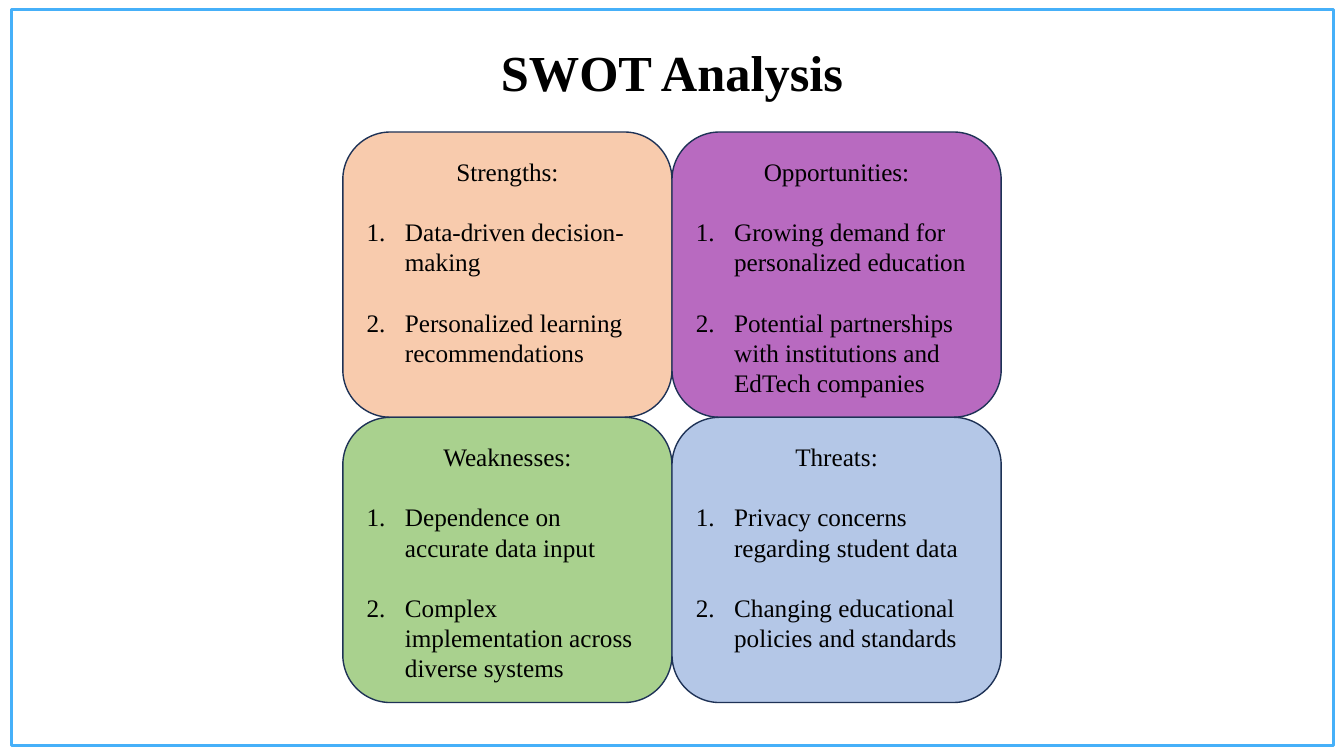
from lxml.etree import SubElement
from pptx import Presentation
from pptx.dml.color import RGBColor
from pptx.enum.shapes import MSO_SHAPE
from pptx.enum.text import MSO_ANCHOR, PP_ALIGN
from pptx.oxml.ns import qn
from pptx.util import Inches, Pt

FONT = "Times New Roman"
CARDS = [
    [("Strengths:", "F8CBAD", ["Data-driven decision-making",
                               "Personalized learning recommendations"]),
     ("Opportunities:", "B86AC0", ["Growing demand for personalized education",
                                   "Potential partnerships with institutions and EdTech companies"])],
    [("Weaknesses:", "A9D18E", ["Dependence on accurate data input",
                                "Complex implementation across diverse systems"]),
     ("Threats:", "B4C7E7", ["Privacy concerns regarding student data",
                             "Changing educational policies and standards"])],
]


def color(value):
    """Return the colour for a hex string."""
    return RGBColor.from_string(value)


def style(p, size, align, bold=False):
    """Format a paragraph and its runs."""
    p.alignment = align
    for r in p.runs:
        r.font.name = FONT
        r.font.size = Pt(size)
        r.font.bold = bold
        r.font.color.rgb = color("000000")


def number(p):
    """Turn a paragraph into a numbered item with a hanging indent."""
    pPr = p._p.get_or_add_pPr()
    pPr.set("marL", str(Inches(0.38)))
    pPr.set("indent", str(-Inches(0.38)))
    SubElement(pPr, qn("a:buFont"), typeface="+mj-lt")
    SubElement(pPr, qn("a:buAutoNum"), type="arabicPeriod")


def add_box(s, kind, x, y, w, h, line, weight, fill=None):
    """Add an outlined shape, filled if a colour is given."""
    sp = s.shapes.add_shape(kind, Inches(x), Inches(y), Inches(w), Inches(h))
    sp.shadow.inherit = False
    sp.line.color.rgb = color(line)
    sp.line.width = Pt(weight)
    if fill:
        sp.fill.solid()
        sp.fill.fore_color.rgb = color(fill)
    else:
        sp.fill.background()
    return sp


def add_title(s, text, x, y, w, h):
    """Place the slide title in its box."""
    sp = s.shapes.title
    sp.left, sp.top, sp.width, sp.height = map(Inches, (x, y, w, h))
    tf = sp.text_frame
    tf.text = text
    tf.vertical_anchor = MSO_ANCHOR.MIDDLE
    style(tf.paragraphs[0], 36, PP_ALIGN.CENTER, bold=True)


def add_card(s, heading, fill, items, x, y, w, h):
    """Add a rounded card with a heading and numbered items."""
    sp = add_box(s, MSO_SHAPE.ROUNDED_RECTANGLE, x, y, w, h, "1E3256", 1, fill)
    tf = sp.text_frame
    tf.word_wrap = True
    tf.vertical_anchor = MSO_ANCHOR.TOP
    tf.margin_top = Inches(0.1)
    tf.text = heading
    style(tf.paragraphs[0], 18, PP_ALIGN.CENTER)
    for item in items:
        p = tf.add_paragraph()
        p.text = item
        p.space_before = Pt(21.5)
        style(p, 18, PP_ALIGN.LEFT)
        number(p)


def add_matrix(s, x, y, w, h):
    """Fill a box with the two-by-two grid of cards."""
    cw, ch = w / 2, h / 2
    for row, cards in enumerate(CARDS):
        for col, (heading, fill, items) in enumerate(cards):
            add_card(s, heading, fill, items, x + col * cw, y + row * ch, cw, ch)


def main():
    """Build and save the slide."""
    prs = Presentation()
    prs.slide_width, prs.slide_height = Inches(13.33), Inches(7.5)
    s = prs.slides.add_slide(prs.slide_layouts[5])
    add_box(s, MSO_SHAPE.RECTANGLE, 0.11, 0.09, 13.12, 7.31, "46B0F9", 2.25)
    add_title(s, "SWOT Analysis", 0.36, 0.35, 12.61, 0.71)
    add_matrix(s, 3.4, 1.31, 6.53, 5.66)
    prs.save("out.pptx")


if __name__ == "__main__":
    main()
